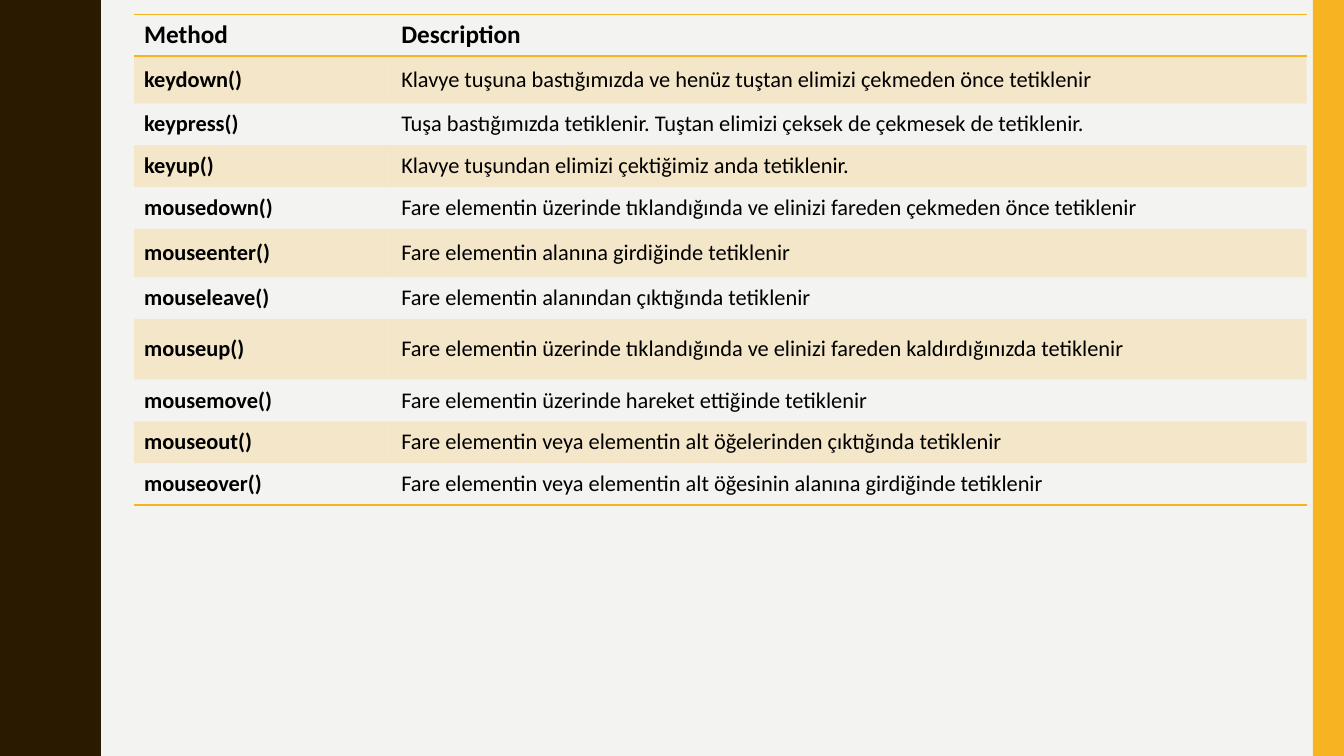
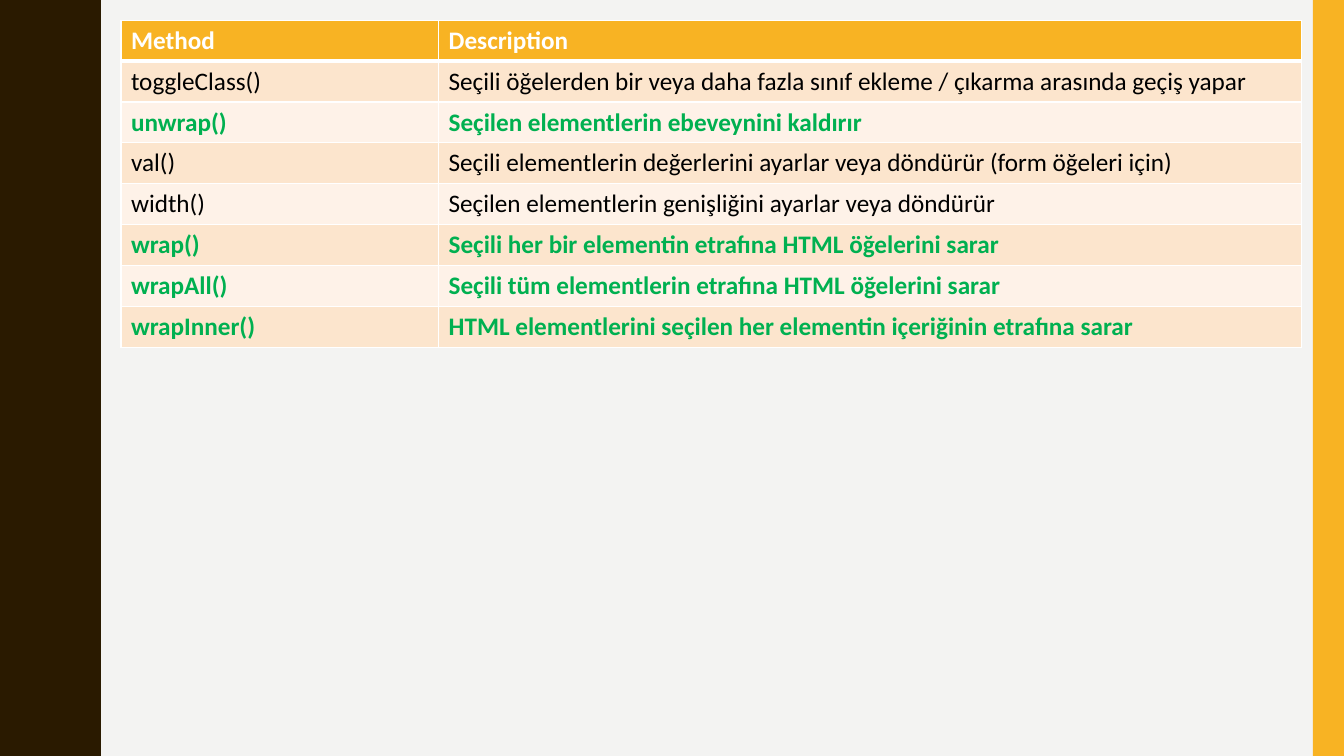
from lxml import etree
from pptx import Presentation
from pptx.dml.color import RGBColor
from pptx.enum.shapes import MSO_SHAPE
from pptx.enum.text import MSO_ANCHOR
from pptx.oxml.ns import qn
from pptx.util import Inches, Pt

RECT = MSO_SHAPE.RECTANGLE
MIDDLE = MSO_ANCHOR.MIDDLE

PAPER = RGBColor(0xF3, 0xF3, 0xF2)
BROWN = RGBColor(0x2A, 0x1A, 0x00)
GOLD = RGBColor(0xF8, 0xB3, 0x23)
PEACH = RGBColor(0xFC, 0xE5, 0xCD)
CREAM = RGBColor(0xFE, 0xF2, 0xE8)
WHITE = RGBColor(0xFF, 0xFF, 0xFF)
BLACK = RGBColor(0x00, 0x00, 0x00)
GREEN = RGBColor(0x00, 0xB0, 0x50)

FONT = "Calibri"
PLAIN = "{2D5ABB26-0587-4C30-8999-92F81FD0307C}"  # table style without grid
WIDTH, HEIGHT = 13.33, 7.5
CREST = 0.75  # height of half a wave
CURVE = [(0.78, 0), (0.78, 0.07), (0.79, 0.14), (0.8, 0.2), (0.81, 0.25),
         (0.83, 0.29), (0.85, 0.33), (0.87, 0.38), (0.89, 0.42), (0.91, 0.46),
         (0.93, 0.5), (0.95, 0.55), (0.96, 0.61), (0.97, 0.68)]

HEAD = ("Method", "Description")
EVENTS = [
    HEAD,
    ("keydown()", "Klavye tuşuna bastığımızda ve henüz tuştan elimizi çekmeden önce tetiklenir"),
    ("keypress()", "Tuşa bastığımızda tetiklenir. Tuştan elimizi çeksek de çekmesek de tetiklenir."),
    ("keyup()", "Klavye tuşundan elimizi çektiğimiz anda tetiklenir."),
    ("mousedown()", "Fare elementin üzerinde tıklandığında ve elinizi fareden çekmeden önce tetiklenir"),
    ("mouseenter()", "Fare elementin alanına girdiğinde tetiklenir"),
    ("mouseleave()", "Fare elementin alanından çıktığında tetiklenir"),
    ("mouseup()", "Fare elementin üzerinde tıklandığında ve elinizi fareden kaldırdığınızda tetiklenir"),
    ("mousemove()", "Fare elementin üzerinde hareket ettiğinde tetiklenir"),
    ("mouseout()", "Fare elementin veya elementin alt öğelerinden çıktığında tetiklenir"),
    ("mouseover()", "Fare elementin veya elementin alt öğesinin alanına girdiğinde tetiklenir"),
]
METHODS = [
    HEAD,
    ("toggleClass()", "Seçili öğelerden bir veya daha fazla sınıf ekleme / çıkarma arasında geçiş yapar"),
    ("unwrap()", "Seçilen elementlerin ebeveynini kaldırır"),
    ("val()", "Seçili elementlerin değerlerini ayarlar veya döndürür (form öğeleri için)"),
    ("width()", "Seçilen elementlerin genişliğini ayarlar veya döndürür"),
    ("wrap()", "Seçili her bir elementin etrafına HTML öğelerini sarar"),
    ("wrapAll()", "Seçili tüm elementlerin etrafına HTML öğelerini sarar"),
    ("wrapInner()", "HTML elementlerini seçilen her elementin içeriğinin etrafına sarar"),
]
WRAPS = {"unwrap()", "wrap()", "wrapAll()", "wrapInner()"}


def paint(shape, color):
    shape.shadow.inherit = False
    shape.fill.solid()
    shape.fill.fore_color.rgb = color
    shape.line.fill.background()


def add_wave(slide):
    """Brown band whose right edge repeats one wave down the slide."""
    back = [(x, 2 * CREST - y) for x, y in reversed(CURVE[1:])]
    wave = CURVE + [(0.97, CREST)] + back
    count = round(HEIGHT / (2 * CREST))
    edge = [(x, y + 2 * CREST * i) for i in range(count) for x, y in wave]
    edge += [(CURVE[0][0], HEIGHT), (0, HEIGHT)]
    form = slide.shapes.build_freeform(0, 0, scale=Inches(1))
    form.add_line_segments(edge, close=True)
    paint(form.convert_to_shape(), BROWN)


def add_page(deck):
    """Blank slide with the shared side bands."""
    slide = deck.slides.add_slide(deck.slide_layouts[6])
    add_wave(slide)
    bar = slide.shapes.add_shape(RECT, Inches(13.02), 0, Inches(0.31), Inches(HEIGHT))
    paint(bar, GOLD)
    return slide


def add_grid(slide, rows, left, top, cols, height, tall=None):
    """Table of text; rows not listed in tall share the remaining height."""
    tall = tall or {}
    frame = slide.shapes.add_table(len(rows), len(cols), Inches(left), Inches(top),
                                   Inches(sum(cols)), Inches(height))
    table = frame.table
    table._tbl.tblPr.find(qn("a:tableStyleId")).text = PLAIN
    table.horz_banding = False
    for col, width in zip(table.columns, cols):
        col.width = Inches(width)
    rest = (height - sum(tall.values())) / (len(rows) - len(tall))
    for i, texts in enumerate(rows):
        table.rows[i].height = Inches(tall.get(i, rest))
        for j, text in enumerate(texts):
            cell = table.cell(i, j)
            cell.text = text
            cell.vertical_anchor = MIDDLE
    return table


def style_cell(cell, size, color, bold, edges, fill=None, alpha=None):
    """Font, then borders {side: (colour, points)}, then fill."""
    font = cell.text_frame.paragraphs[0].font
    font.name, font.size, font.bold = FONT, Pt(size), bold
    font.color.rgb = color
    props = cell._tc.get_or_add_tcPr()
    for side in "LRTB":
        if side in edges:
            tint, width = edges[side]
            line = etree.SubElement(props, qn(f"a:ln{side}"), w=str(Pt(width)))
            solid = etree.SubElement(line, qn("a:solidFill"))
            etree.SubElement(solid, qn("a:srgbClr"), val=str(tint))
    if fill is None:
        cell.fill.background()
        return
    cell.fill.solid()
    cell.fill.fore_color.rgb = fill
    if alpha:
        tone = props.find(qn("a:solidFill")).find(qn("a:srgbClr"))
        etree.SubElement(tone, qn("a:alpha"), val=str(alpha * 1000))


def add_events(deck):
    table = add_grid(add_page(deck), EVENTS, 1.33, 0.14, (2.55, 9.08), 4.87,
                     {1: 0.47, 5: 0.48, 7: 0.6})
    rule = (GOLD, 1)
    last = len(EVENTS) - 1
    for i in range(len(EVENTS)):
        edges = {0: {"T": rule, "B": rule}, last: {"B": rule}}.get(i, {})
        for j in range(len(HEAD)):
            style_cell(table.cell(i, j), 16 if i else 18, BLACK, i == 0 or j == 0,
                       edges, GOLD if i % 2 else None, 20)


def add_methods(deck):
    table = add_grid(add_page(deck), METHODS, 1.2, 0.2, (3.15, 8.56), 3.24)
    rule = (WHITE, 1)
    sides = {"L": rule, "R": rule, "B": rule}
    for i, (name, _) in enumerate(METHODS):
        green = name in WRAPS
        for j in range(len(HEAD)):
            cell = table.cell(i, j)
            if i == 0:
                edges = {**sides, "T": rule, "B": (WHITE, 3)}
                style_cell(cell, 18, WHITE, True, edges, GOLD)
            else:
                style_cell(cell, 18, GREEN if green else BLACK, green, sides,
                           PEACH if i % 2 else CREAM)


def main():
    deck = Presentation()
    deck.slide_width, deck.slide_height = Inches(WIDTH), Inches(HEIGHT)
    ground = deck.slide_master.background.fill
    ground.solid()
    ground.fore_color.rgb = PAPER
    add_events(deck)
    add_methods(deck)
    deck.save("out.pptx")


if __name__ == "__main__":
    main()
